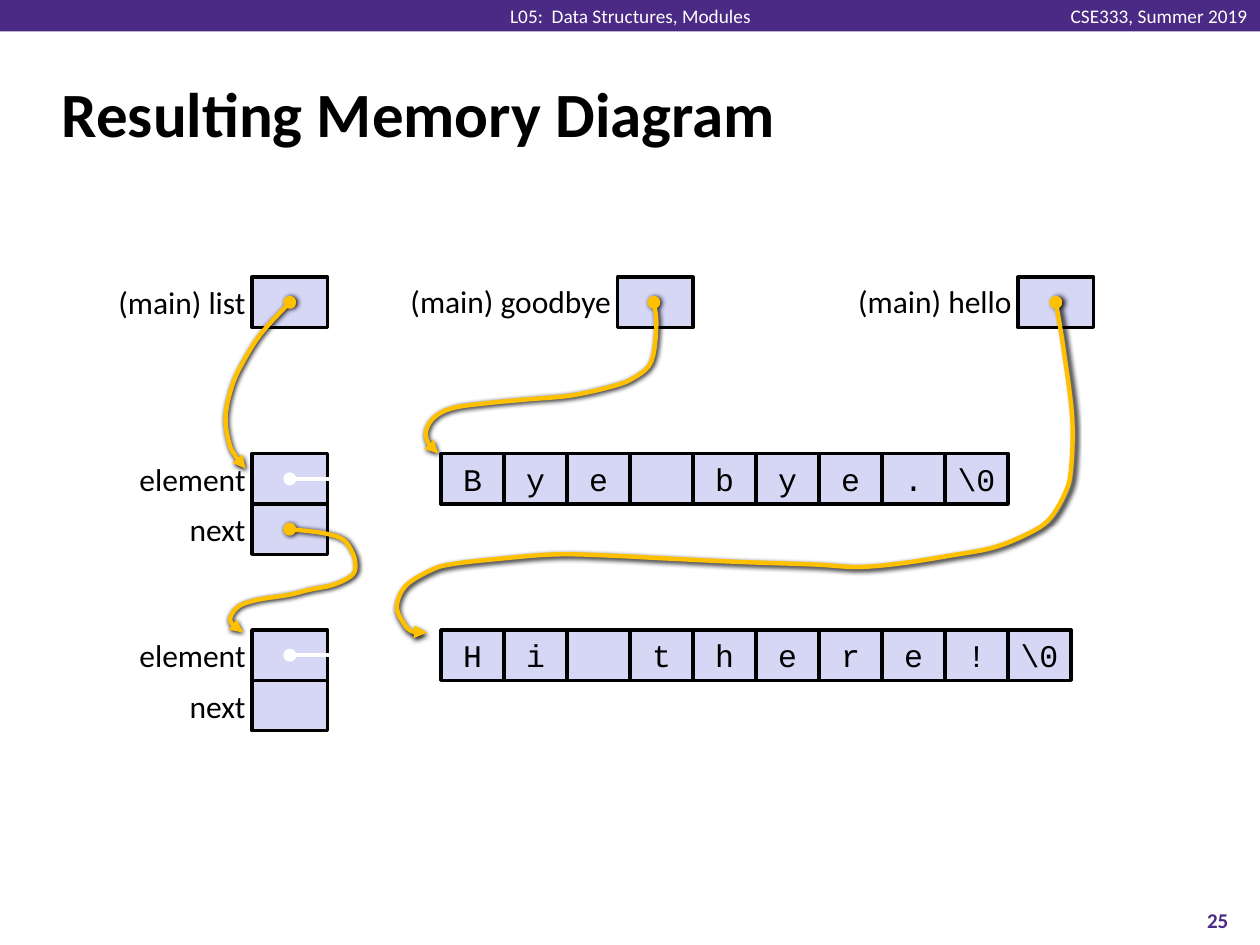
import pptx
import pptx.dml.color
import pptx.enum.shapes
import pptx.enum.text
import pptx.oxml
import pptx.oxml.ns
import pptx.util

Inches, Pt = pptx.util.Inches, pptx.util.Pt
RGB = pptx.dml.color.RGBColor
Align = pptx.enum.text.PP_ALIGN
Anchor = pptx.enum.text.MSO_ANCHOR
Shape = pptx.enum.shapes.MSO_SHAPE

PURPLE = RGB(0x4B, 0x2A, 0x85)
LILAC = RGB(0xD6, 0xD6, 0xF5)
GOLD = RGB(0xFF, 0xC0, 0x00)
BLACK = RGB(0, 0, 0)
WHITE = RGB(0xFF, 0xFF, 0xFF)
SANS, MONO = "Calibri", "Courier New"
HIGH = 0.4    # height of every memory box
BOX = 0.6     # width of a pointer box
CELL = 0.5    # width of a character cell
NODES = (3.6, 5)


def smooth(points, steps=5):
    """Catmull-Rom curve through the points."""
    ends = [points[0]] + points + [points[-1]]
    curve = [points[0]]
    for a, b, c, d in zip(ends, ends[1:], ends[2:], ends[3:]):
        for step in range(1, steps + 1):
            t = step / steps
            curve.append(tuple(
                (2 * q + (r - p) * t + (2 * p - 5 * q + 4 * r - s) * t ** 2
                 + (3 * q - p - 3 * r + s) * t ** 3) / 2
                for p, q, r, s in zip(a, b, c, d)))
    return curve


class Deck:
    def __init__(self):
        self.file = pptx.Presentation()
        self.file.slide_width, self.file.slide_height = Inches(10), Inches(7.5)
        self.slide = self.file.slides.add_slide(self.file.slide_layouts[5])
        self.shapes = self.slide.shapes

    def fill_text(self, shape, text, size, color=BLACK, font=SANS, align=Align.CENTER,
                  bold=False, anchor=Anchor.MIDDLE, wrap=True, inset=None):
        frame = shape.text_frame
        frame.text = text
        frame.auto_size = pptx.enum.text.MSO_AUTO_SIZE.NONE
        frame.vertical_anchor, frame.word_wrap = anchor, wrap
        if inset is not None:
            frame.margin_left = frame.margin_right = Inches(inset)
            frame.margin_top = frame.margin_bottom = 0
        para = frame.paragraphs[0]
        para.alignment = align
        for run in para.runs:
            run.font.name, run.font.size, run.font.bold = font, Pt(size), bold
            run.font.color.rgb = color

    def title(self, text):
        shape = self.shapes.title
        shape.left, shape.top = Inches(0.39), Inches(0.48)
        shape.width, shape.height = Inches(9.19), Inches(0.83)
        self.fill_text(shape, text, 36, align=Align.LEFT, bold=True)

    def text(self, x, y, wide, high, text, size, **style):
        shape = self.shapes.add_textbox(Inches(x), Inches(y), Inches(wide), Inches(high))
        self.fill_text(shape, text, size, **style)

    def label(self, right, y, wide, text):
        self.text(right - wide, y, wide, HIGH, text, 18, align=Align.RIGHT, inset=0.05)

    def box(self, x, y, wide, high=HIGH, fill=LILAC, line=BLACK):
        shape = self.shapes.add_shape(
            Shape.RECTANGLE, Inches(x), Inches(y), Inches(wide), Inches(high))
        shape.shadow.inherit = False
        shape.fill.solid()
        shape.fill.fore_color.rgb = fill
        if line is None:
            shape.line.fill.background()
        else:
            shape.line.color.rgb, shape.line.width = line, Pt(2)
        return shape

    def cells(self, x, y, chars):
        """Row of character cells; returns the first."""
        row = []
        for i, char in enumerate(chars):
            cell = self.box(x + i * CELL, y, CELL)
            if char != " ":
                self.fill_text(cell, char, 18, font=MONO, anchor=Anchor.TOP, wrap=False)
            row.append(cell)
        return row[0]

    def add(self, parent, tag, **attrs):
        node = pptx.oxml.parse_xml(f"<a:{tag} {pptx.oxml.ns.nsdecls('a')}/>")
        for name, value in attrs.items():
            node.set(name, value)
        parent.append(node)
        return node

    def stroke(self, shape, color, head, tail):
        shape.line.color.rgb, shape.line.width = color, Pt(2.5)
        line = shape.line._get_or_add_ln()
        self.add(line, "headEnd", type=head)
        self.add(line, "tailEnd", type=tail)

    def link(self, x1, x2, y):
        line = self.shapes.add_connector(
            pptx.enum.shapes.MSO_CONNECTOR.STRAIGHT,
            Inches(x1), Inches(y), Inches(x2), Inches(y))
        self.stroke(line, WHITE, "triangle", "oval")
        self.add(line._element.spPr, "effectLst")
        return line

    def curve(self, points):
        route = [(Inches(x), Inches(y)) for x, y in smooth(points)]
        pen = self.shapes.build_freeform(*route[0])
        pen.add_line_segments(route[1:], close=False)
        shape = pen.convert_to_shape()
        shape.fill.background()
        self.stroke(shape, GOLD, "oval", "triangle")
        shape.shadow.inherit = False
        effects = shape._element.spPr.find(pptx.oxml.ns.qn("a:effectLst"))
        shadow = self.add(effects, "outerShdw", blurRad="38100", dist="12700", dir="2700000")
        self.add(shadow, "srgbClr", val=str(BLACK))


def main():
    deck = Deck()

    # Header, title and page number
    deck.box(0, 0, 10, 0.25, fill=PURPLE, line=None)
    small = dict(color=WHITE, wrap=False, inset=0.1)
    deck.text(8.38, 0.03, 1.62, 0.19, "CSE333, Summer 2019", 11, align=Align.RIGHT, **small)
    deck.text(3.94, 0.03, 2.13, 0.19, "L05:  Data Structures, Modules", 11, **small)
    deck.title("Resulting Memory Diagram")
    deck.text(9.33, 7.1, 0.67, 0.4, "25", 12, color=PURPLE, bold=True)

    # List nodes
    for y in NODES:
        for i, name in enumerate(("element", "next")):
            deck.box(2, y + i * HIGH, BOX)
            deck.label(2, y + i * HIGH, 1, name)

    # Strings, each joined to its node's element
    links = [deck.link(3.5, 2.3, y + HIGH / 2) for y in NODES]
    strings = ([*"Bye bye.", "\\0"], [*"Hi there!", "\\0"])
    for y, chars, link in zip(NODES, strings, links):
        link.begin_connect(deck.cells(3.5, y, chars), 1)

    # Variables in main
    for x, y, name in ((2, 2.2, "list"), (4.9, 2.19, "goodbye"), (8.08, 2.19, "hello")):
        deck.box(x, 2.2, BOX)
        deck.label(x, y, 1.8, f"(main) {name}")

    # Pointers: next, list, goodbye, hello
    deck.curve([(2.3, 4.2), (2.56, 4.23), (2.72, 4.28), (2.79, 4.37), (2.82, 4.46),
                (2.8, 4.56), (2.65, 4.64), (2.46, 4.68), (2.3, 4.72), (2.05, 4.76),
                (1.9, 4.81), (1.83, 4.9), (1.85, 4.96), (1.93, 5.02)])
    deck.curve([(2.3, 2.4), (2.07, 2.65), (1.92, 2.89), (1.84, 3.07), (1.79, 3.31),
                (1.82, 3.52), (1.87, 3.62), (1.95, 3.72)])
    deck.curve([(5.19, 2.4), (5.21, 2.58), (5.17, 2.87), (5.03, 3), (4.85, 3.07),
                (4.53, 3.14), (4.19, 3.17), (3.87, 3.2), (3.59, 3.24), (3.44, 3.32),
                (3.38, 3.44), (3.42, 3.55), (3.48, 3.6)])
    deck.curve([(8.38, 2.4), (8.44, 2.76), (8.51, 3.31), (8.5, 3.73), (8.45, 3.92),
                (8.32, 4.13), (8.13, 4.25), (7.87, 4.35), (7.54, 4.41), (7.16, 4.47),
                (6.81, 4.5), (6.46, 4.48), (5.87, 4.46), (5.24, 4.43), (4.85, 4.41),
                (4.4, 4.4), (3.91, 4.44), (3.57, 4.48), (3.41, 4.53), (3.22, 4.65),
                (3.15, 4.81), (3.2, 4.94), (3.27, 5.01), (3.39, 5.02)])

    deck.file.save("out.pptx")


if __name__ == "__main__":
    main()
